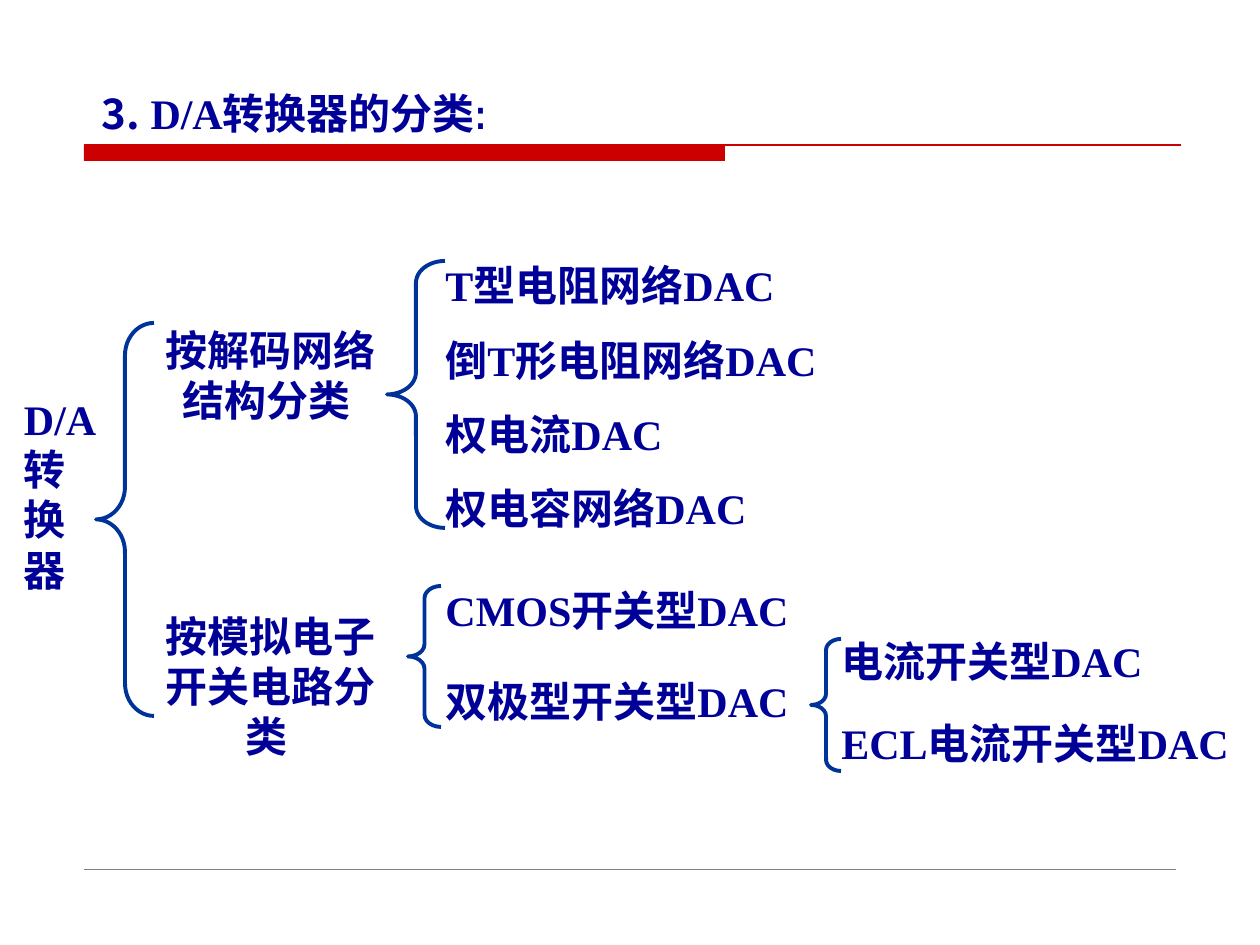
import pptx
import pptx.util
import pptx.dml.color
import pptx.enum.shapes
import pptx.enum.text
import pptx.oxml.ns
import lxml.etree

PX = pptx.util.Inches(1) / 126
NAVY = "000099"
BLUE = "003399"
RED = "CC0000"
GREY = "808080"
LATIN_FONT = "Times New Roman"
CHINESE_FONT = "Noto Sans CJK SC"
ALIGN = pptx.enum.text.PP_ALIGN
ANCHOR = pptx.enum.text.MSO_ANCHOR
SHAPE = pptx.enum.shapes.MSO_SHAPE


def px(*lengths):
    return [round(length * PX) for length in lengths]


def color(value):
    return pptx.dml.color.RGBColor.from_string(value)


def set_font(font, name):
    font.name = name
    font.size = pptx.util.Pt(24)
    font.bold = True
    font.color.rgb = color(NAVY)
    east_asian = lxml.etree.SubElement(font._element, pptx.oxml.ns.qn("a:ea"))
    east_asian.set("typeface", CHINESE_FONT)


def add_label(slide, box, text, align=ALIGN.LEFT):
    shape = slide.shapes.add_textbox(*px(*box))
    frame = shape.text_frame
    frame.word_wrap = True
    paragraph = frame.paragraphs[0]
    paragraph.text = text
    paragraph.alignment = align
    set_font(paragraph.font, LATIN_FONT)
    return frame


def add_rule(slide, left, top, width, line_color, points):
    line = slide.shapes.add_connector(
        pptx.enum.shapes.MSO_CONNECTOR.STRAIGHT, *px(left, top, left + width, top))
    line.line.color.rgb = color(line_color)
    line.line.width = pptx.util.Pt(points)
    lxml.etree.SubElement(line._element.spPr, pptx.oxml.ns.qn("a:effectLst"))


def add_title_region(slide, box):
    left, top, width, height = box
    title = slide.shapes.title
    title.left, title.top, title.width, title.height = px(left + 5, top, 774, 68)
    frame = title.text_frame
    frame.auto_size = pptx.enum.text.MSO_AUTO_SIZE.NONE
    frame.vertical_anchor = ANCHOR.TOP
    paragraph = frame.paragraphs[0]
    paragraph.alignment = ALIGN.JUSTIFY
    paragraph.line_spacing = 1.1
    paragraph.space_before = pptx.util.Pt(0)
    for text, name in (("3.", CHINESE_FONT), (" D/A", LATIN_FONT),
                       ("转换器的分类:", "Arial Narrow")):
        run = paragraph.add_run()
        run.text = text
        set_font(run.font, name)

    bar_top = top + height - 16
    bar = slide.shapes.add_shape(SHAPE.RECTANGLE, *px(left, bar_top, 641, 16))
    bar.shadow.inherit = False
    bar.fill.solid()
    bar.fill.fore_color.rgb = color(RED)
    bar.line.fill.background()
    add_rule(slide, left, bar_top, width, RED, 0.75)


def add_brace_group(slide, box, curve, label_offset, label_size, labels, align=ALIGN.LEFT):
    left, top, width, height = box
    brace = slide.shapes.add_shape(SHAPE.LEFT_BRACE, *px(*box))
    brace.shadow.inherit = False
    brace.adjustments[0] = curve
    brace.adjustments[1] = 0.5
    brace.fill.background()
    brace.line.color.rgb = color(BLUE)
    brace.line.width = pptx.util.Pt(2.25)
    for offset, text in labels:
        add_label(slide, (left + label_offset, top + offset, *label_size), text, align)


def add_root(slide, box):
    frame = add_label(slide, box, "D/A 转\n换\n器")
    frame.vertical_anchor = ANCHOR.MIDDLE
    frame.margin_left = frame.margin_right = frame.margin_top = 0


def build_slide(presentation):
    slide = presentation.slides.add_slide(presentation.slide_layouts[5])
    add_title_region(slide, (84, 76, 1097, 85))
    add_rule(slide, 84, 869, 1092, GREY, 0.25)
    add_root(slide, (24, 393, 98, 208))
    add_brace_group(slide, (96, 323, 58, 393), 0.56, 39, (272, 113), [
        (-5, "按解码网络结构分类 "),
        (281, "按模拟电子开关电路分类 "),
    ], ALIGN.CENTER)
    add_brace_group(slide, (387, 261, 58, 267), 0.38, 46, (596, 63), [
        (-8, "T型电阻网络DAC"),
        (67, "倒T形电阻网络DAC"),
        (141, "权电流DAC"),
        (215, "权电容网络DAC"),
    ])
    add_brace_group(slide, (408, 586, 33, 141), 0.37, 25, (596, 63), [
        (-8, "CMOS开关型DAC"),
        (83, "双极型开关型DAC"),
    ])
    add_brace_group(slide, (811, 639, 30, 132), 0.37, 18, (432, 63), [
        (-10, "电流开关型DAC"),
        (72, "ECL电流开关型DAC"),
    ])


def main():
    presentation = pptx.Presentation()
    presentation.slide_width, presentation.slide_height = px(1260, 945)
    build_slide(presentation)
    presentation.save("out.pptx")


if __name__ == "__main__":
    main()
